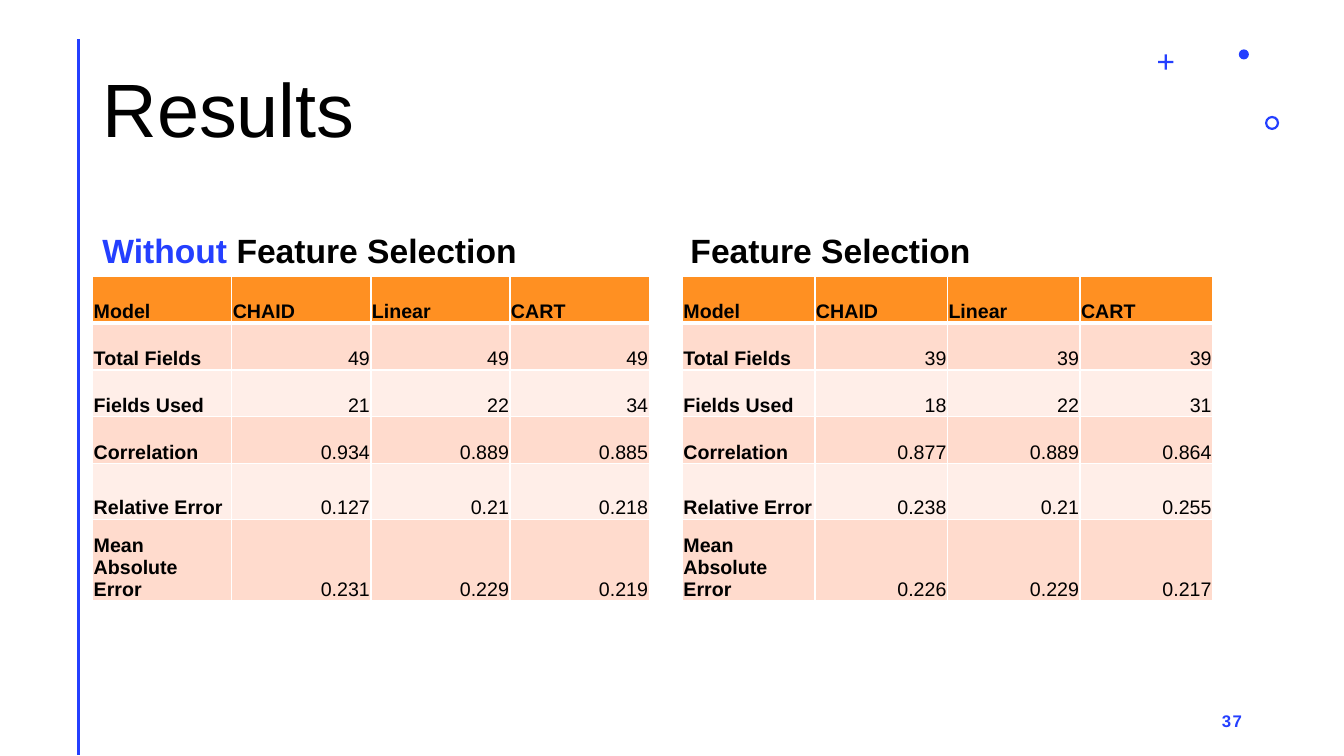
from dataclasses import dataclass

from lxml import etree
from pptx import Presentation
from pptx import util as u
from pptx.dml.color import RGBColor
from pptx.enum import shapes, text
from pptx.oxml import ns

COLUMNS, ROWS = 160, 90
FONT = "Arial"
COLORS = {
    "accent": "243FFF",
    "ink": "000000",
    "white": "FFFFFF",
    "header": "FF9022",
    "odd": "FFDBCD",
    "even": "FFEEE8",
}
TABLE_TOP = 32.88
ROW_HEIGHTS = [5.58] * 4 + [6.6, 9.72]
MODELS = ["Model", "CHAID", "Linear", "CART"]
MEASURES = ["Total Fields", "Fields Used", "Correlation", "Relative Error", "Mean Absolute Error"]

prs = Presentation()
prs.slide_width, prs.slide_height = u.Inches(13.33), u.Inches(7.5)


@dataclass
class Box:
    left: float
    top: float
    width: float
    height: float


@dataclass
class Ornament:
    kind: shapes.MSO_SHAPE
    box: Box
    adjustment: float | None = None


@dataclass
class Comparison:
    placeholder: int
    heading: list[tuple[str, str]]
    heading_box: Box
    table_left: float
    column_width: float
    values: list[list[str]]


ORNAMENTS = [
    Ornament(shapes.MSO_SHAPE.CROSS, Box(137.88, 6.48, 1.8, 1.8), 0.43),
    Ornament(shapes.MSO_SHAPE.DONUT, Box(150.6, 13.8, 1.68, 1.68), 0.16),
    Ornament(shapes.MSO_SHAPE.OVAL, Box(147.48, 5.88, 1.2, 1.2)),
]
COMPARISONS = [
    Comparison(
        1, [("Without", "accent"), (" Feature Selection", "ink")],
        Box(11, 22.08, 67.68, 10.8), 11.04, 16.56,
        [["49", "49", "49"], ["21", "22", "34"], ["0.934", "0.889", "0.885"],
         ["0.127", "0.21", "0.218"], ["0.231", "0.229", "0.219"]],
    ),
    Comparison(
        3, [("Feature Selection", "ink")],
        Box(81, 22.08, 68.04, 10.8), 81.24, 15.78,
        [["39", "39", "39"], ["18", "22", "31"], ["0.877", "0.889", "0.864"],
         ["0.238", "0.21", "0.255"], ["0.226", "0.229", "0.217"]],
    ),
]


def col(n: float) -> int:
    return round(n * prs.slide_width / COLUMNS)


def row(n: float) -> int:
    return round(n * prs.slide_height / ROWS)


def place(box: Box) -> tuple[int, int, int, int]:
    return col(box.left), row(box.top), col(box.width), row(box.height)


def rgb(name: str) -> RGBColor:
    return RGBColor.from_string(COLORS[name])


def style(p, size: float, color: str = "ink", bold: bool = False,
          align=text.PP_ALIGN.LEFT) -> None:
    p.alignment = align
    p.font.name, p.font.size, p.font.bold = FONT, u.Pt(size), bold
    p.font.color.rgb = rgb(color)


def prepare_frame(sp, box: Box, anchor):
    sp.left, sp.top, sp.width, sp.height = place(box)
    tf = sp.text_frame
    tf.word_wrap = True
    tf.auto_size = text.MSO_AUTO_SIZE.NONE
    tf.vertical_anchor = anchor
    return tf


def draw_rule(s) -> None:
    line = s.shapes.add_connector(
        shapes.MSO_CONNECTOR.STRAIGHT, col(9.36), row(4.68), col(9.36), row(89.88))
    line.line.color.rgb = rgb("accent")
    line.line.width = u.Pt(2)
    etree.SubElement(line._element.spPr, ns.qn("a:effectLst"))


def draw_ornament(s, ornament: Ornament) -> None:
    sp = s.shapes.add_shape(ornament.kind, *place(ornament.box))
    sp.shadow.inherit = False
    sp.fill.solid()
    sp.fill.fore_color.rgb = rgb("accent")
    sp.line.fill.background()
    if ornament.adjustment is not None:
        sp.adjustments[0] = ornament.adjustment


def draw_title(s) -> None:
    tf = prepare_frame(s.shapes.title, Box(11, 4.8, 138, 17.4), text.MSO_ANCHOR.MIDDLE)
    tf.text = "Results"
    p = tf.paragraphs[0]
    style(p, 54)
    p.line_spacing = 0.9


def draw_heading(s, comparison: Comparison) -> None:
    sp = s.placeholders[comparison.placeholder]
    p = prepare_frame(sp, comparison.heading_box, text.MSO_ANCHOR.BOTTOM).paragraphs[0]
    style(p, 24, bold=True)
    p.line_spacing, p.space_before = 0.9, u.Pt(10)
    for words, color in comparison.heading:
        r = p.add_run()
        r.text = words
        r.font.color.rgb = rgb(color)


def add_borders(cell, row_index: int) -> None:
    tc_pr = cell._tc.get_or_add_tcPr()
    widths = {"L": 1, "R": 1, "T": 3 if row_index == 1 else 1, "B": 3 if row_index == 0 else 1}
    for side, width in widths.items():
        ln = etree.SubElement(tc_pr, ns.qn(f"a:ln{side}"), w=str(u.Pt(width)))
        fill = etree.SubElement(ln, ns.qn("a:solidFill"))
        etree.SubElement(fill, ns.qn("a:srgbClr"), val=COLORS["white"])


def fill_cell(cell, words: str, i: int, j: int) -> None:
    add_borders(cell, i)
    cell.fill.solid()
    cell.fill.fore_color.rgb = rgb("header" if i == 0 else "odd" if i % 2 else "even")
    cell.margin_left = cell.margin_right = col(0.12)
    cell.margin_top, cell.margin_bottom = row(0.12), 0
    cell.vertical_anchor = text.MSO_ANCHOR.BOTTOM
    cell.text = words
    label = i == 0 or j == 0
    style(cell.text_frame.paragraphs[0], 14, bold=label,
          align=text.PP_ALIGN.LEFT if label else text.PP_ALIGN.RIGHT)


def draw_table(s, comparison: Comparison) -> None:
    grid = [MODELS] + [[m, *v] for m, v in zip(MEASURES, comparison.values)]
    box = Box(comparison.table_left, TABLE_TOP,
              comparison.column_width * len(MODELS), sum(ROW_HEIGHTS))
    table = s.shapes.add_table(len(grid), len(MODELS), *place(box)).table
    for column in table.columns:
        column.width = col(comparison.column_width)
    for i, (words, height) in enumerate(zip(grid, ROW_HEIGHTS)):
        table.rows[i].height = row(height)
        for j, word in enumerate(words):
            fill_cell(table.cell(i, j), word, i, j)


def draw_page_number(s) -> None:
    box = Box(113.04, 83.4, 36, 4.8)
    tf = prepare_frame(s.shapes.add_textbox(*place(box)), box, text.MSO_ANCHOR.MIDDLE)
    p = tf.paragraphs[0]
    style(p, 12, "accent", True, text.PP_ALIGN.RIGHT)
    r = p.add_run()
    r.text = "37"
    r.font._element.set("spc", "100")


def main() -> None:
    s = prs.slides.add_slide(prs.slide_layouts[4])
    for index in (2, 4):
        sp = s.placeholders[index]._element
        sp.getparent().remove(sp)
    draw_rule(s)
    for ornament in ORNAMENTS:
        draw_ornament(s, ornament)
    draw_title(s)
    for comparison in COMPARISONS:
        draw_heading(s, comparison)
        draw_table(s, comparison)
    draw_page_number(s)
    prs.save("out.pptx")


if __name__ == "__main__":
    main()
